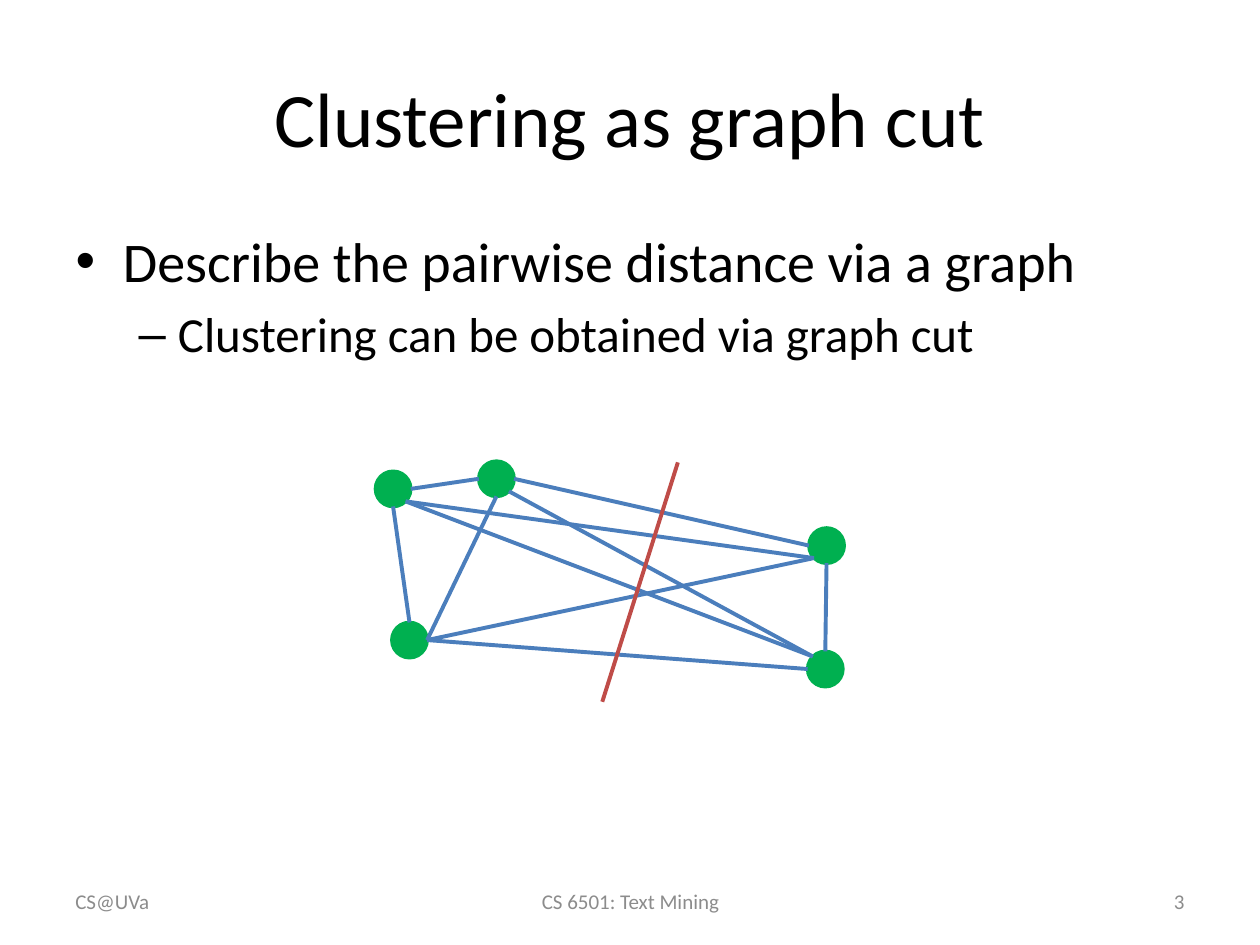
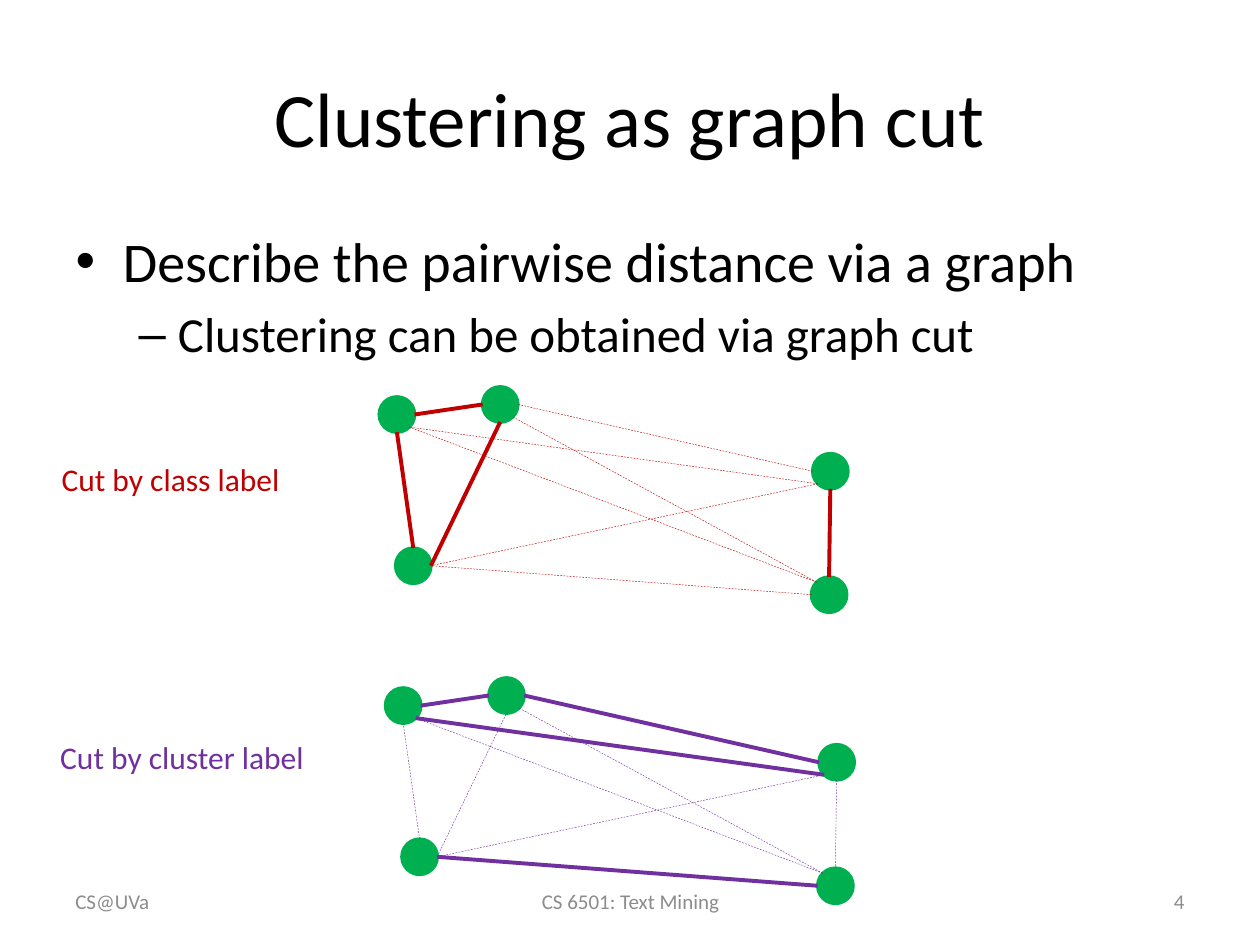
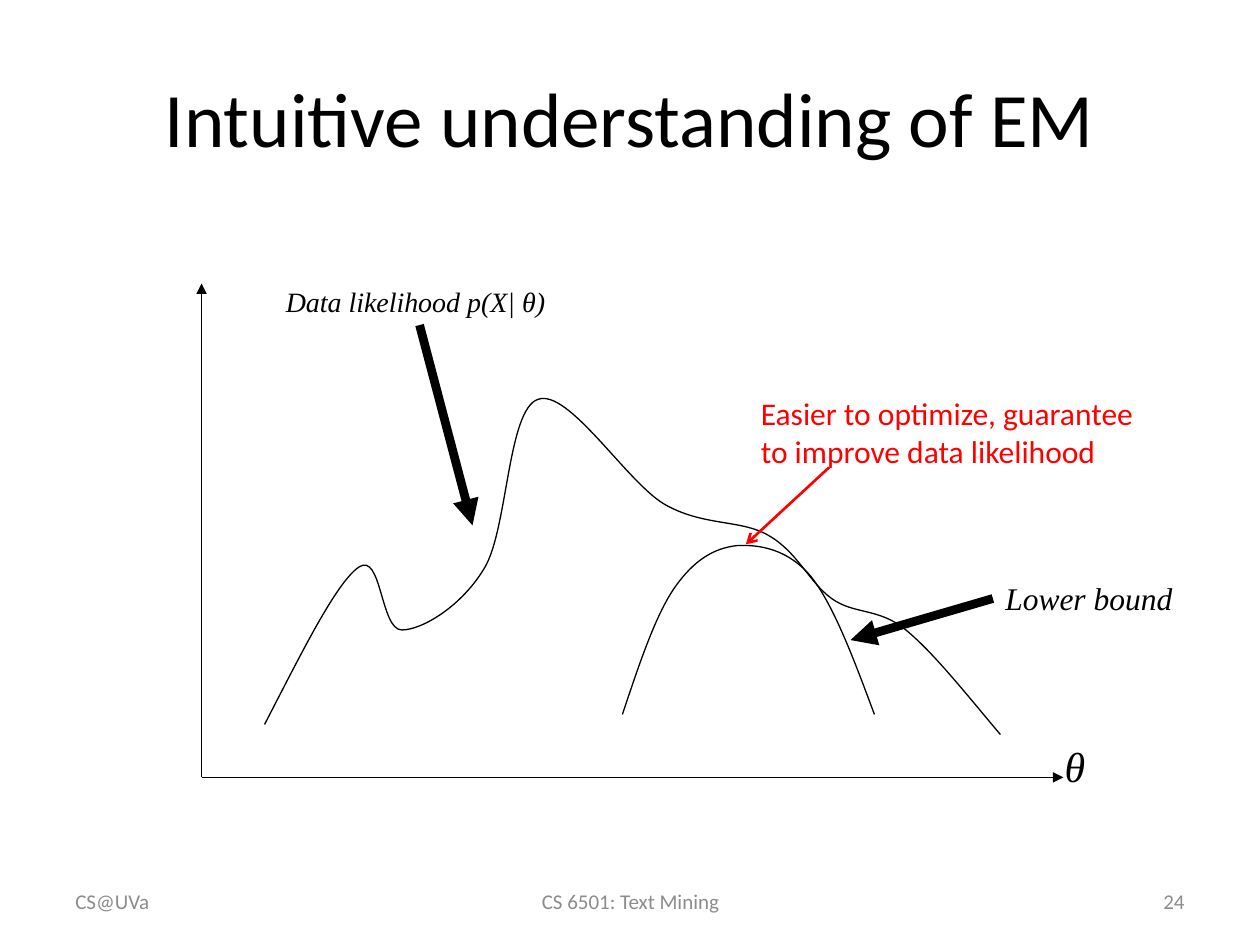
from lxml import etree
from pptx import Presentation
from pptx import util as u
from pptx.dml.color import RGBColor
from pptx.enum import dml, shapes, text
from pptx.oxml import ns

BLACK = RGBColor(0x00, 0x00, 0x00)
GREY = RGBColor(0x8C, 0x8C, 0x8C)
GREEN = RGBColor(0x00, 0xB0, 0x50)
BLUE = RGBColor(0x4B, 0x7E, 0xBC)
BRICK = RGBColor(0xBF, 0x4C, 0x48)
CRIMSON = RGBColor(0xC0, 0x00, 0x00)
PURPLE = RGBColor(0x70, 0x30, 0xA0)
RED = RGBColor(0xFF, 0x00, 0x00)

SANS, SERIF = "Calibri", "Times New Roman"
LEFT, CENTER, RIGHT = (text.PP_ALIGN.LEFT, text.PP_ALIGN.CENTER,
                       text.PP_ALIGN.RIGHT)
TITLE_BOX = (0.5, 0.3, 9, 1.25)
BODY_BOX = (0.5, 1.75, 9, 4.95)
FOOT_Y, FOOT_H = 6.95, 0.4
CUT_TITLE = "Clustering as graph cut"
CUT_LIST = [("Describe the pairwise distance via a graph", 0, 32),
            ("Clustering can be obtained via graph cut", 1, 28)]

# Graph nodes, as offsets of their boxes from the corner of the graph
SIZE = 0.28
NODES = {"A": (0, 0.08), "B": (0.82, 0), "C": (3.44, 0.53),
         "D": (3.43, 1.51), "E": (0.13, 1.28)}
# Compass points on a node, in radii from its centre
SIDES = {"n": (0, -1), "e": (1, 0), "s": (0, 1), "w": (-1, 0),
         "nw": (-0.71, -0.71), "se": (0.71, 0.71), "sw": (-0.71, 0.71)}
EDGES = {"EA": "n s", "BA": "w e", "EB": "e s", "CB": "w e", "CD": "s n",
         "DE": "w e", "DB": "nw se", "CE": "sw e", "DA": "nw se",
         "CA": "sw se"}

# Start point, then two control points and an end point for each piece
DATA = [(2.1, 5.75),
        (2.39, 5.19), (2.67, 4.62), (2.85, 4.5),
        (3.03, 4.38), (3.02, 5), (3.19, 5),
        (3.35, 5), (3.67, 4.81), (3.85, 4.5),
        (4.03, 4.19), (4.03, 3.25), (4.27, 3.17),
        (4.51, 3.08), (4.97, 3.82), (5.27, 4),
        (5.58, 4.18), (5.88, 4.12), (6.1, 4.25),
        (6.33, 4.38), (6.42, 4.62), (6.6, 4.75),
        (6.78, 4.88), (6.97, 4.82), (7.19, 5),
        (7.41, 5.18), (7.67, 5.51), (7.94, 5.83)]
BOUND = [(6.94, 5.67),
         (6.78, 5.24), (6.62, 4.81), (6.44, 4.58),
         (6.26, 4.36), (6.03, 4.32), (5.85, 4.33),
         (5.67, 4.35), (5.51, 4.44), (5.35, 4.67),
         (5.2, 4.89), (5.07, 5.28), (4.94, 5.67)]


def apply(item, **form):
    """Set each format value on an object."""
    for name, value in form.items():
        setattr(item, name, value)


def place(box):
    """Turn a box in inches into lengths."""
    return [u.Inches(v) for v in box]


def write(para, words, size, color=BLACK, face=SANS, slant=None):
    """Add one formatted run to a paragraph."""
    run = para.add_run()
    run.text = words
    apply(run.font, size=u.Pt(size), name=face, italic=slant)
    run.font.color.rgb = color


def label(slide, box, words, size=18, color=BLACK, face=SANS, slant=None,
          wrap=True, align=LEFT, anchor=text.MSO_ANCHOR.TOP):
    """Add a text box with one paragraph."""
    frame = slide.shapes.add_textbox(*place(box)).text_frame
    apply(frame, word_wrap=wrap, vertical_anchor=anchor)
    para = frame.paragraphs[0]
    para.alignment = align
    write(para, words, size, color, face, slant)


def line(slide, start, end, color=BLACK, width=0.75, dash=None, head=None):
    """Add a straight line, with an arrowhead at its end if one is named."""
    link = slide.shapes.add_connector(shapes.MSO_CONNECTOR.STRAIGHT,
                                      *place(start + end))
    link.line.color.rgb = color
    apply(link.line, width=u.Pt(width), dash_style=dash)
    props = link._element.spPr
    if head:
        etree.SubElement(props.find(ns.qn("a:ln")), ns.qn("a:tailEnd"),
                         type=head)
    etree.SubElement(props, ns.qn("a:effectLst"))


def curve(slide, points):
    """Draw a thin open curve through cubic Bezier pieces."""
    first, *rest = [place(p) for p in points]
    pen = slide.shapes.build_freeform(*first)
    pen.add_line_segments(rest, close=False)
    shape = pen.convert_to_shape()
    shape.shadow.inherit = False
    shape.fill.background()
    shape.line.color.rgb = BLACK
    shape.line.width = u.Pt(0.75)
    route = shape._element.find(".//" + ns.qn("a:path"))
    steps = route.findall(ns.qn("a:lnTo"))
    for i in range(0, len(steps), 3):
        bend = etree.SubElement(route, ns.qn("a:cubicBezTo"))
        for step in steps[i:i + 3]:
            bend.append(step[0])
            route.remove(step)


def graph(slide, left, top, color, bold=tuple(EDGES)):
    """Draw the five nodes and all edges, with those not bold dashed."""
    for x, y in NODES.values():
        dot = slide.shapes.add_shape(shapes.MSO_SHAPE.OVAL,
                                     *place((left + x, top + y, SIZE, SIZE)))
        dot.shadow.inherit = False
        dot.fill.solid()
        dot.fill.fore_color.rgb = GREEN
        dot.line.color.rgb = GREEN
        dot.line.width = u.Pt(2)

    def spot(node, side):
        """Find a compass point of a node."""
        (x, y), (dx, dy) = NODES[node], SIDES[side]
        half = SIZE / 2
        return (left + x + half * (1 + dx), top + y + half * (1 + dy))

    for pair, sides in EDGES.items():
        start, end = map(spot, pair, sides.split())
        if pair in bold:
            line(slide, start, end, color, 2.25)
        else:
            line(slide, start, end, color, 0.25, dml.MSO_LINE.DASH)


def page(deck, title, number, items=()):
    """Add a slide with title, list and footers."""
    slide = deck.slides.add_slide(deck.slide_layouts[1 if items else 5])
    for holder, box in zip(slide.placeholders, (TITLE_BOX, BODY_BOX)):
        names = ("left", "top", "width", "height")
        apply(holder, **dict(zip(names, place(box))))
    write(slide.shapes.title.text_frame.paragraphs[0], title, 44)
    for i, (words, level, size) in enumerate(items):
        frame = slide.placeholders[1].text_frame
        para = frame.add_paragraph() if i else frame.paragraphs[0]
        para.level = level
        write(para, words, size)
    for x, width, words, align in (
            (0.5, 2.33, "CS@UVa", LEFT),
            (3.42, 3.17, "CS 6501: Text Mining", CENTER),
            (7.17, 2.33, str(number), RIGHT)):
        label(slide, (x, FOOT_Y, width, FOOT_H), words, 12, GREY,
              align=align, anchor=text.MSO_ANCHOR.MIDDLE)
    return slide


def cut(deck):
    """Show the graph with one line across it."""
    slide = page(deck, CUT_TITLE, 3, CUT_LIST)
    graph(slide, 2.98, 3.66, BLUE)
    line(slide, (5.38, 3.67), (4.78, 5.57), BRICK, 2.25)


def pair(deck):
    """Show the graph cut by class and by cluster."""
    slide = page(deck, CUT_TITLE, 4, CUT_LIST)
    label(slide, (0.39, 3.6, 2.02, 0.4), "Cut by class label", color=CRIMSON)
    label(slide, (0.38, 5.81, 2.14, 0.4), "Cut by cluster label",
          color=PURPLE)
    graph(slide, 3.01, 3.07, CRIMSON, ("EA", "BA", "EB", "CD"))
    graph(slide, 3.06, 5.38, PURPLE, ("BA", "CB", "DE", "CA"))


def bound(deck):
    """Show the likelihood curve and its lower bound."""
    slide = page(deck, "Intuitive understanding of EM", 24)
    zero = (1.6, 6.17)
    for tip in ((8.44, 6.17), (1.6, 2.25)):
        line(slide, zero, tip, head="triangle")
    serif = {"face": SERIF, "slant": True}
    label(slide, (2.17, 2.21, 2.36, 0.37), "Data likelihood p(X| θ)", 16,
          wrap=False, **serif)
    label(slide, (8.35, 5.83, 0.38, 0.5), "θ", 24, wrap=False, **serif)
    curve(slide, DATA)
    line(slide, (3.33, 2.58), (3.75, 4.17), width=5, head="triangle")
    curve(slide, BOUND)
    label(slide, (7.88, 4.55, 1.88, 0.4), "Lower bound", **serif)
    line(slide, (7.88, 4.75), (6.75, 5.08), width=5, head="triangle")
    label(slide, (5.94, 3.08, 3.17, 0.71),
          "Easier to optimize, guarantee to improve data likelihood",
          color=RED)
    line(slide, (6.58, 3.71), (5.92, 4.32), RED, 1.5, head="arrow")


def main():
    """Build the deck and save it."""
    deck = Presentation()
    apply(deck, slide_width=u.Inches(10), slide_height=u.Inches(7.5))
    cut(deck)
    pair(deck)
    bound(deck)
    deck.save("out.pptx")


main()
